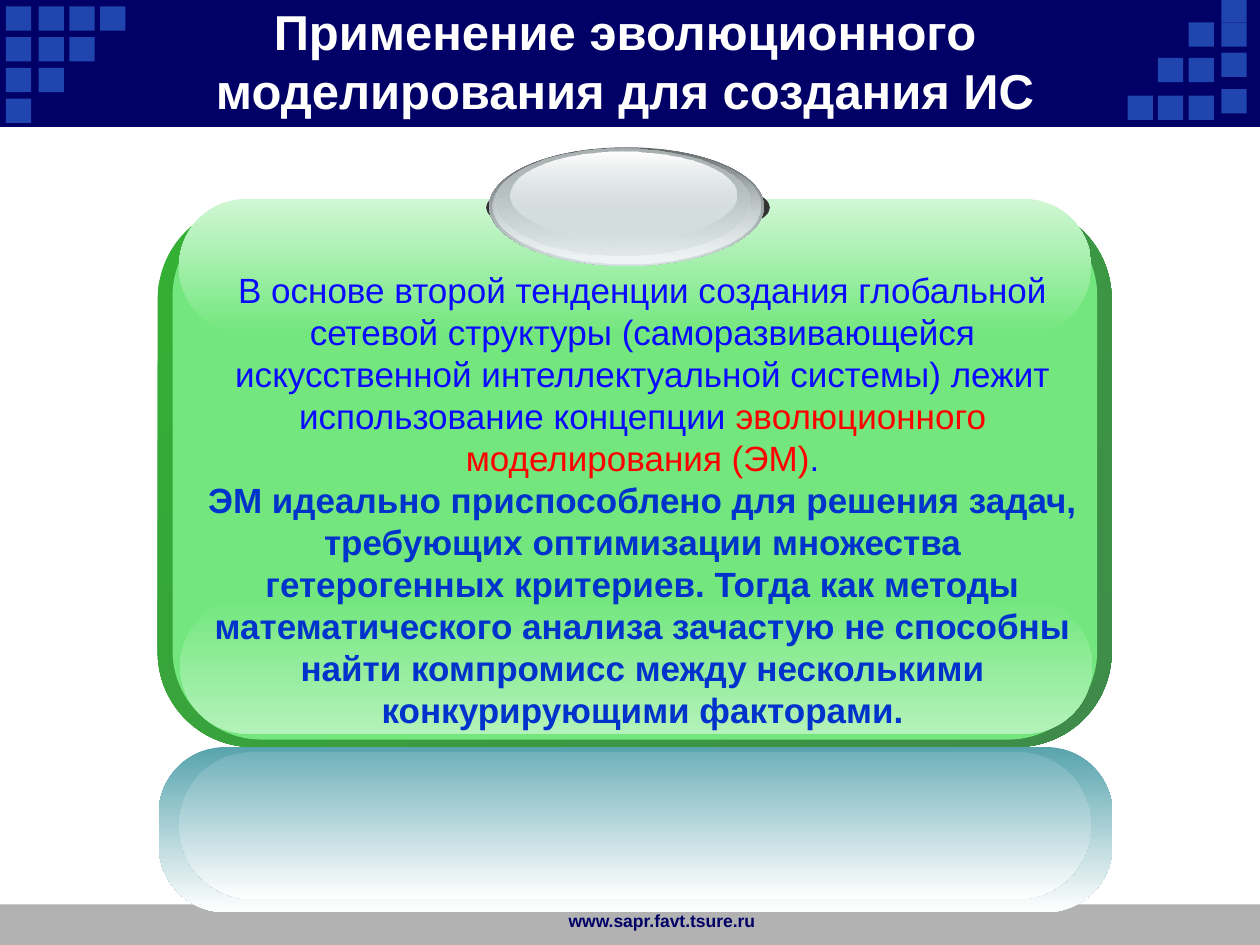
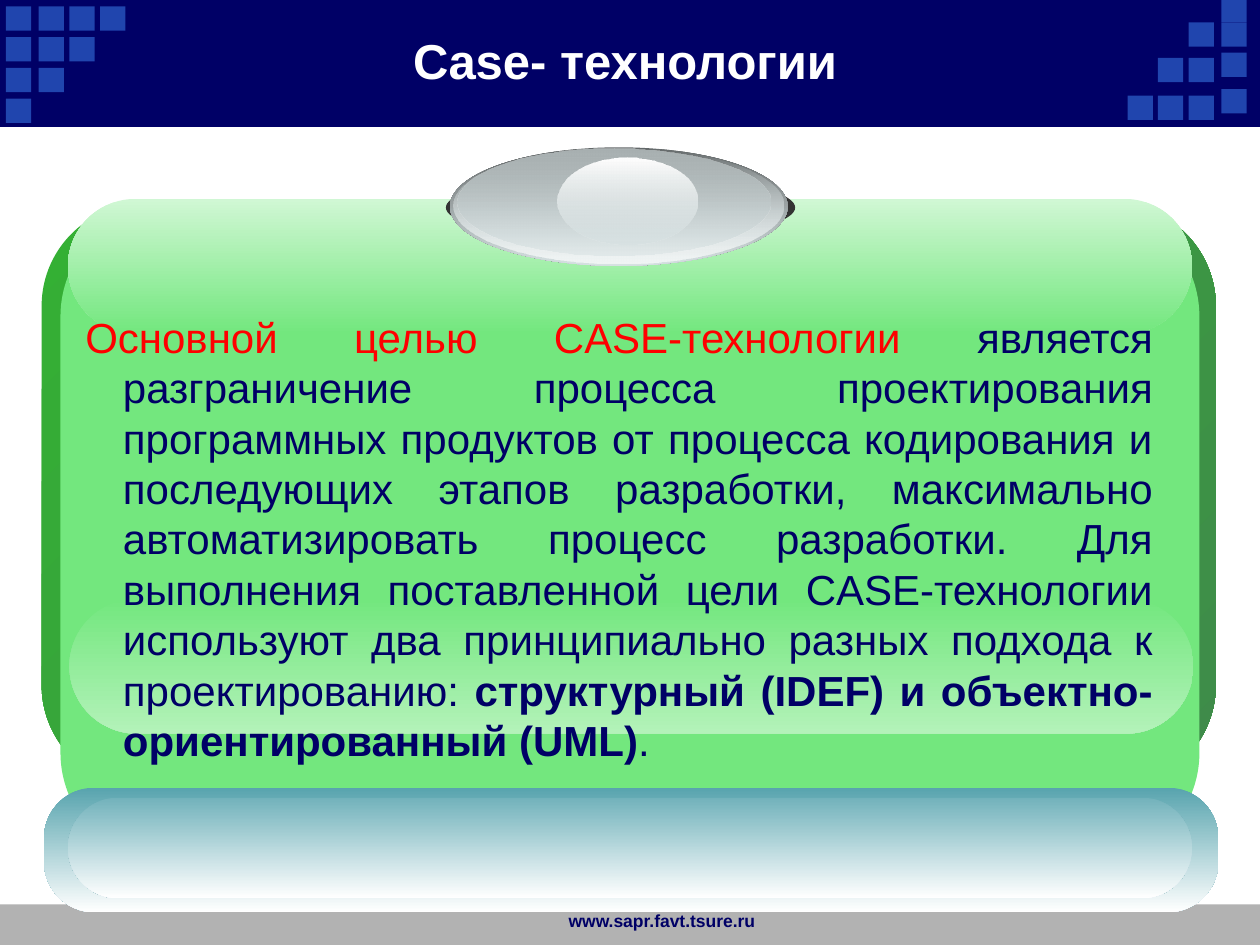
from lxml.etree import SubElement
from pptx import Presentation
from pptx.dml.color import RGBColor
from pptx.enum.shapes import MSO_SHAPE
from pptx.enum.text import MSO_ANCHOR, PP_ALIGN
from pptx.oxml.ns import qn
from pptx.util import Cm, Pt

NAVY, SQUARE_BLUE, GREY, WHITE = "000066", "2045AE", "B2B2B2", "FFFFFF"
BLUE, DEEP_BLUE, RED = "0A0AFF", "0033CC", "FF0000"
FONT = "Arial"
RECT, ROUND, OVAL = MSO_SHAPE.RECTANGLE, MSO_SHAPE.ROUNDED_RECTANGLE, MSO_SHAPE.OVAL
color = RGBColor.from_string


def add_shape(page, kind, place, fills, angle=90, corner=None, opacity=(100, 100)):
    """One fill colour gives a solid shape, two give a clockwise gradient."""
    shape = page.shapes.add_shape(kind, *map(Cm, place))
    shape.shadow.inherit = False
    shape.line.fill.background()
    if corner is not None:
        shape.adjustments[0] = corner
    if len(fills) == 1:
        shape.fill.solid()
        shape.fill.fore_color.rgb = color(fills[0])
        return shape
    shape.fill.gradient()
    shape.fill.gradient_angle = 360 - angle
    for stop, fill in zip(shape.fill.gradient_stops, fills):
        stop.color.rgb = color(fill)
    for node, percent in zip(shape._element.spPr.iter(qn("a:srgbClr")), opacity):
        if percent < 100:
            SubElement(node, qn("a:alpha")).set("val", str(percent * 1000))
    return shape


def add_text(page, place, paragraphs, size, align, anchor=MSO_ANCHOR.TOP, hanging=0):
    """Each paragraph is a list of (text, colour, bold) spans."""
    frame = page.shapes.add_textbox(*map(Cm, place)).text_frame
    frame.word_wrap = True
    frame.vertical_anchor = anchor
    for number, spans in enumerate(paragraphs):
        para = frame.add_paragraph() if number else frame.paragraphs[0]
        para.alignment = align
        para.line_spacing = Pt(size * 1.2)
        if hanging:
            para._p.get_or_add_pPr().set("marL", str(Cm(hanging)))
            para._p.get_or_add_pPr().set("indent", str(-Cm(hanging)))
        para.font.name = FONT
        para.font.size = Pt(size)
        for text, shade, bold in spans:
            span = para.add_run()
            span.text = text
            span.font.color.rgb = color(shade)
            span.font.bold = bold


# Corner squares of the header: a stair on the left, uneven columns on the right
left_columns = [0.12, 0.78, 1.4, 2.02]
squares = [(x, 0.13 + 0.62 * row)
           for row in range(4) for x in left_columns[:4 - row]]
right_columns = {24.62: [-0.04, 0.45, 1.06, 1.8], 23.96: [0.45, 1.17, 1.93],
                 23.34: [1.17, 1.93], 22.73: [1.93]}
squares += [(x, y) for x, tops in right_columns.items() for y in tops]

# Looks of the clipboard parts, from back to front
clipboard_parts = [
    dict(kind=ROUND, fills=["34B034", "3F8B4A"], angle=45, corner=0.175),  # edge
    dict(kind=ROUND, fills=["73E77E"], corner=0.167),  # face
    dict(kind=ROUND, fills=["73E77E", "B3F2B9"], corner=0.5),  # lower gloss
    dict(kind=ROUND, fills=["D0F7D4", "73E77E"], corner=0.5),  # upper gloss
    dict(kind=OVAL, fills=["333333"]),  # clip shade
    dict(kind=OVAL, fills=["636869", "D6E1E2"]),  # clip rim
    dict(kind=OVAL, fills=["D6E1E2", "F1F5F5"], opacity=(0, 100)),
    dict(kind=OVAL, fills=["AAB2B3", "D6E1E2"], opacity=(100, 48)),
    dict(kind=OVAL, fills=["FFFFFF", "D6E1E2"], opacity=(100, 38)),  # clip gloss
    dict(kind=ROUND, fills=["58A4AE", "FFFFFF"], corner=0.404),  # reflection
    dict(kind=ROUND, fills=["72B2BB", "FFFFFF"], corner=0.5),
]

# What differs from slide to slide
pages = [
    dict(
        title="Применение эволюционного моделирования для создания ИС",
        places=[
            (3.18, 4.11, 19.23, 10.95), (3.48, 4.17, 18.64, 10.74),
            (3.63, 12.07, 18.39, 2.72), (3.61, 4.01, 18.39, 2.72),
            (9.8, 3.51, 5.72, 1.35), (9.86, 2.97, 5.54, 2.39),
            (9.93, 2.97, 5.41, 2.34), (9.98, 3, 5.13, 2.16),
            (10.29, 3.05, 4.55, 1.75),
            (3.2, 15.06, 19.23, 3.33), (3.61, 15.16, 18.39, 2.97)],
        body=dict(
            place=(3.81, 5.28, 18.29, 10.52), size=20, align=PP_ALIGN.CENTER,
            paragraphs=[
                [("В основе второй тенденции создания глобальной сетевой структуры "
                  "(саморазвивающейся искусственной интеллектуальной системы) лежит "
                  "использование концепции ", BLUE, False),
                 ("эволюционного моделирования (ЭМ)", RED, False),
                 (".", BLUE, False)],
                [("ЭМ идеально приспособлено для решения задач, требующих оптимизации "
                  "множества гетерогенных критериев. Тогда как методы математического "
                  "анализа зачастую не способны найти компромисс между несколькими "
                  "конкурирующими факторами.", DEEP_BLUE, True)]])),
    dict(
        title="Case- технологии",
        places=[
            (0.84, 4.11, 23.67, 11.76), (1.22, 4.17, 22.96, 13.21),
            (1.4, 12.07, 22.66, 2.72), (1.37, 4.01, 22.66, 2.72),
            (8.99, 3.51, 7.04, 1.35), (9.07, 2.97, 6.81, 2.39),
            (9.14, 2.97, 6.65, 2.34), (9.22, 3, 6.32, 2.16),
            (11.23, 3.18, 2.84, 1.75),
            (0.89, 15.88, 23.67, 2.51), (1.37, 16.08, 22.66, 2.03)],
        body=dict(
            place=(1.47, 6.15, 22.02, 9.5), size=24, align=PP_ALIGN.JUSTIFY, hanging=0.76,
            paragraphs=[
                [("Основной целью CASE-технологии ", RED, False),
                 ("является разграничение процесса проектирования программных продуктов "
                  "от процесса кодирования и последующих этапов разработки, максимально "
                  "автоматизировать процесс разработки. Для выполнения поставленной цели "
                  "CASE-технологии используют два принципиально разных подхода к "
                  "проектированию: ", NAVY, False),
                 ("структурный (IDEF) и объектно-ориентированный (UML)", NAVY, True),
                 (".", NAVY, False)]])),
]

deck = Presentation()
deck.slide_width, deck.slide_height = Cm(25.4), Cm(19.05)

for content in pages:
    page = deck.slides.add_slide(deck.slide_layouts[6])

    # Footer and header bands
    add_shape(page, RECT, (0, 18.23, 25.4, 0.82), [GREY])
    header = add_shape(page, RECT, (0, 0, 25.4, 2.54), [NAVY])
    header.line.color.rgb = color(NAVY)
    header.line.width = Pt(0.75)
    for x, y in squares:
        add_shape(page, RECT, (x, y, 0.51, 0.49), [SQUARE_BLUE])
    add_text(page, (10.59, 18.23, 4.88, 0.81),
             [[("www.sapr.favt.tsure.ru", NAVY, True)]], 10, PP_ALIGN.RIGHT)

    # Clipboard with its reflection
    for part, place in zip(clipboard_parts, content["places"]):
        add_shape(page, place=place, **part)

    # Title and body
    add_text(page, (2.34, 0.43, 20.52, 1.57), [[(content["title"], WHITE, True)]],
             28, PP_ALIGN.CENTER, MSO_ANCHOR.MIDDLE)
    add_text(page, **content["body"])

deck.save("out.pptx")
